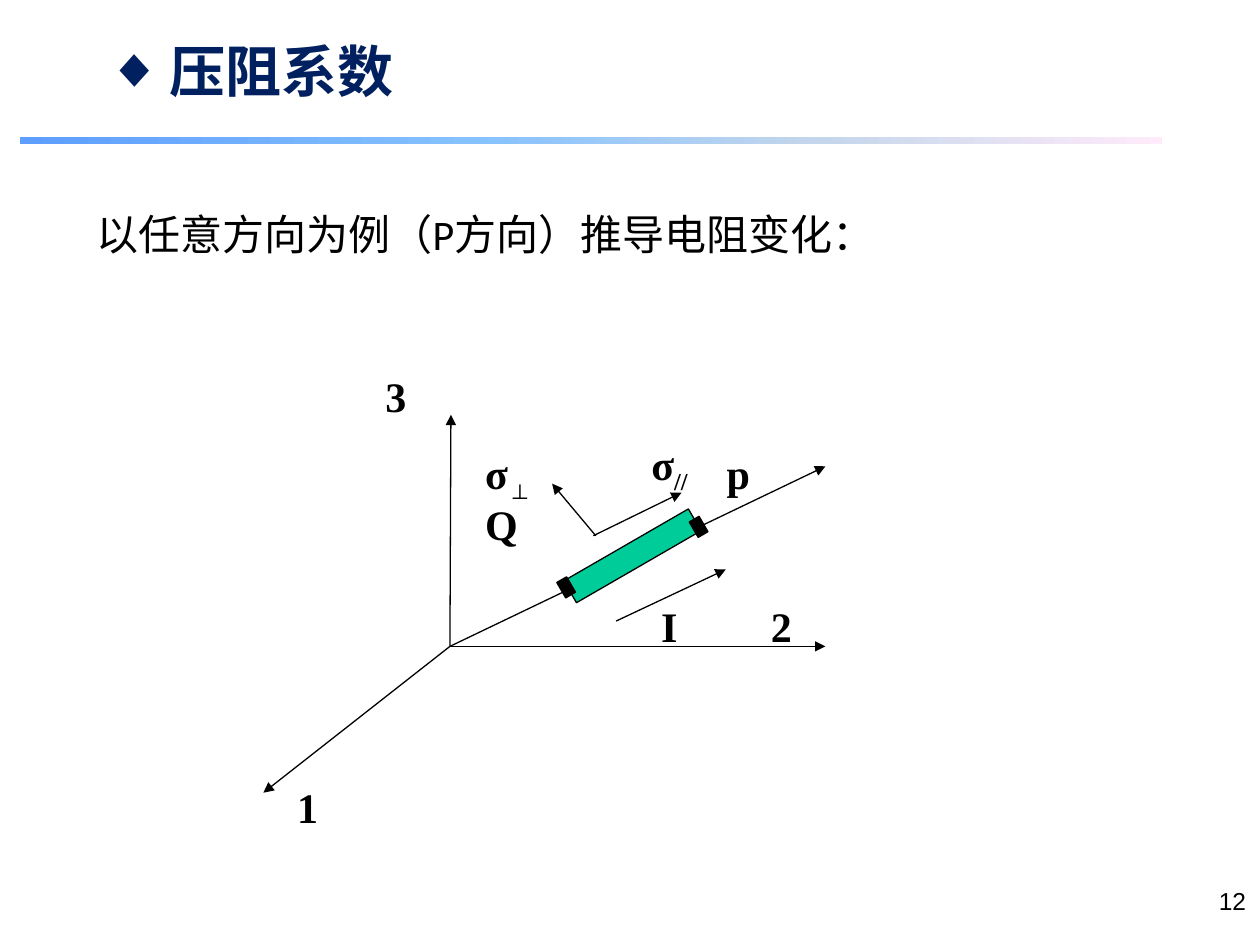
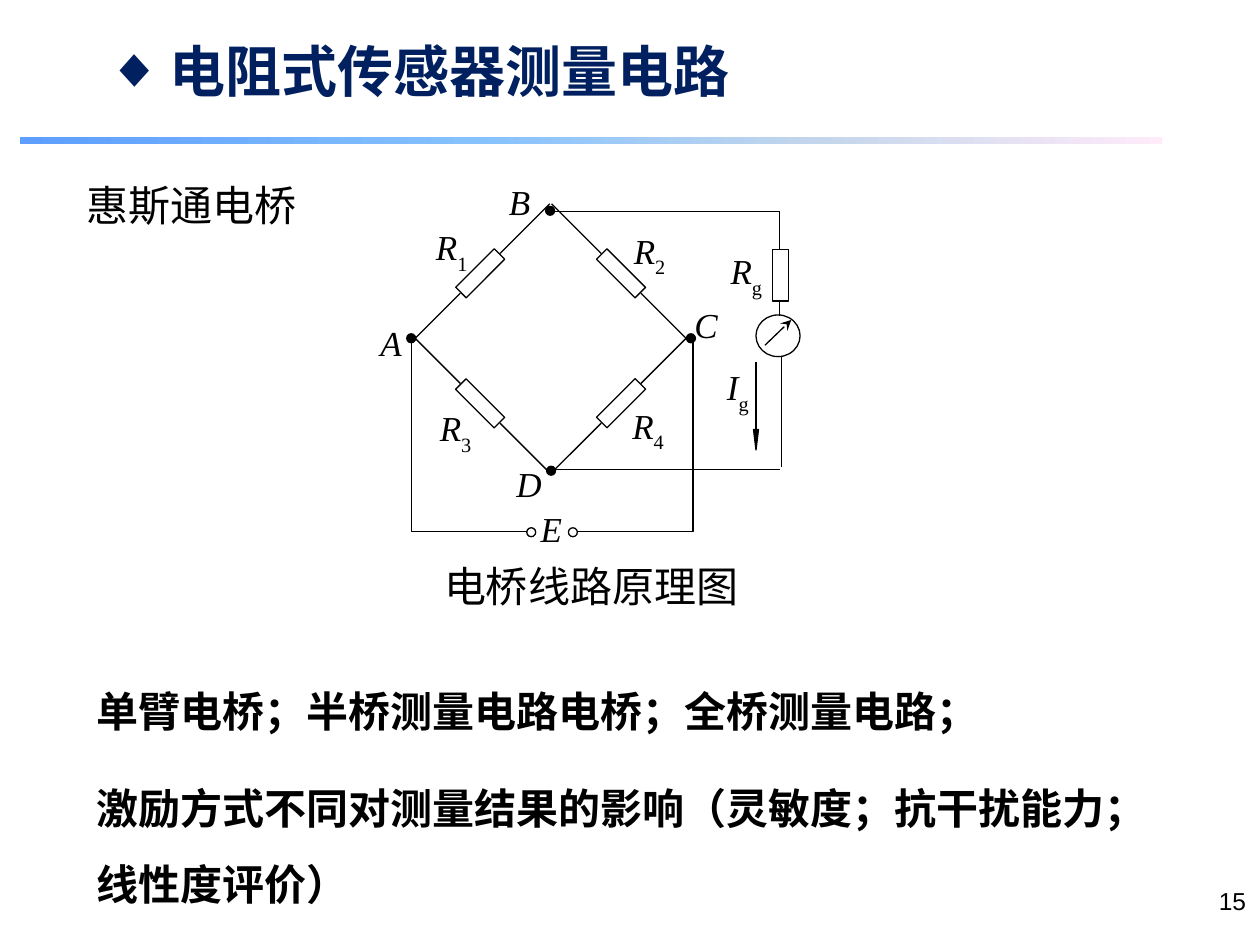
from dataclasses import dataclass

from lxml import etree
from pptx import Presentation
from pptx.dml.color import RGBColor
from pptx.enum.shapes import MSO_CONNECTOR, MSO_SHAPE
from pptx.enum.text import MSO_ANCHOR, PP_ALIGN
from pptx.oxml.ns import qn
from pptx.util import Cm, Pt

RECT = MSO_SHAPE.RECTANGLE
OVAL = MSO_SHAPE.OVAL
WEDGE = MSO_SHAPE.ISOSCELES_TRIANGLE
STRAIGHT = MSO_CONNECTOR.STRAIGHT
LEFT, MID, RIGHT = PP_ALIGN.LEFT, PP_ALIGN.CENTER, PP_ALIGN.RIGHT
TOP, BOTTOM = MSO_ANCHOR.TOP, MSO_ANCHOR.BOTTOM


@dataclass(frozen=True)
class Theme:
    ink: str = "000000"
    paper: str = "FFFFFF"
    navy: str = "002060"
    green: str = "00CC99"
    band: tuple = ((0, "5E9EFF"), (40, "85C2FF"), (70, "C4D6EB"), (100, "FFEBFA"))
    head: int = 32
    body: int = 24
    mark: int = 20
    page: int = 14
    rule: float = 0.75
    sans: str = "Arial"
    plain: str = "Calibri"
    serif: str = "Times New Roman"
    han: str = "Noto Sans CJK SC"


T = Theme()


def paint(fill, color):
    if color is None:
        fill.background()
    else:
        fill.solid()
        fill.fore_color.rgb = RGBColor.from_string(color)


def add_run(para, words, size, font, color, bold, italic, drop=0):
    run = para.add_run()
    run.text = words
    run.font.size = Pt(size)
    run.font.name = font
    run.font.bold = bold
    run.font.italic = italic
    run.font.color.rgb = RGBColor.from_string(color)
    props = run.font._element
    etree.SubElement(props, qn("a:ea")).set("typeface", T.han)
    if drop:
        props.set("baseline", str(-1000 * drop))


def add_bullet(para):
    props = para._p.get_or_add_pPr()
    props.set("marL", str(Cm(1.27)))
    props.set("indent", str(-Cm(1.27)))
    etree.SubElement(props, qn("a:buFont")).set("typeface", T.sans)
    etree.SubElement(props, qn("a:buChar")).set("char", "◆")


def text(slide, box, words, size=T.body, font=T.sans, color=T.ink, bold=False,
         italic=False, align=LEFT, anchor=TOP, sub="", drop=25, inset=True,
         bullet=False, pitch=None, gap=None, fill=None):
    shape = slide.shapes.add_textbox(*map(Cm, box))
    paint(shape.fill, fill)
    frame = shape.text_frame
    frame.word_wrap = True
    frame.vertical_anchor = anchor
    if not inset:
        frame.margin_left = frame.margin_right = 0
        frame.margin_top = frame.margin_bottom = 0
    for row, line in enumerate(words.split("\n")):
        para = frame.add_paragraph() if row else frame.paragraphs[0]
        if bullet:
            add_bullet(para)
        para.alignment = align
        if pitch:
            para.line_spacing = Pt(pitch)
        if row and gap:
            para.space_before = Pt(gap)
        add_run(para, line, size, font, color, bold, italic)
        if sub:
            add_run(para, sub, size, font, color, bold, False, drop)


def block(slide, kind, box, fill=None, turn=0, edge=T.ink):
    shape = slide.shapes.add_shape(kind, *map(Cm, box))
    shape.shadow.inherit = False
    shape.rotation = turn
    paint(shape.fill, fill)
    paint(shape.line.fill, edge)
    if edge:
        shape.line.width = Pt(T.rule)
    return shape


def dot(slide, x, y, fill=T.ink, size=0.18):
    block(slide, OVAL, (x - size / 2, y - size / 2, size, size), fill)


def wire(slide, start, end, tip=None):
    line = slide.shapes.add_connector(STRAIGHT, *map(Cm, (*start, *end)))
    line.line.color.rgb = RGBColor.from_string(T.ink)
    line.line.width = Pt(T.rule)
    if tip:
        etree.SubElement(line.line._get_or_add_ln(), qn("a:tailEnd")).set("type", tip)
    etree.SubElement(line._element.spPr, qn("a:effectLst"))


def bend(slide, *points):
    spots = [(Cm(x), Cm(y)) for x, y in points]
    pen = slide.shapes.build_freeform(*spots[0])
    pen.add_line_segments(spots[1:], close=False)
    shape = pen.convert_to_shape()
    shape.shadow.inherit = False
    paint(shape.fill, None)
    paint(shape.line.fill, T.ink)
    shape.line.width = Pt(T.rule)


def band(slide):
    shape = block(slide, RECT, (0.4, 2.77, 23.02, 0.13), edge=None)
    shape.fill.gradient()
    shape.fill.gradient_angle = 0
    stops = shape._element.spPr.find(qn("a:gradFill")).find(qn("a:gsLst"))
    for stop in list(stops):
        stops.remove(stop)
    for place, color in T.band:
        stop = etree.SubElement(stops, qn("a:gs"))
        stop.set("pos", str(place * 1000))
        etree.SubElement(stop, qn("a:srgbClr")).set("val", color)


def page(deck, title, number):
    slide = deck.slides.add_slide(deck.slide_layouts[6])
    band(slide)
    text(slide, (20.09, 17.73, 5.28, 1.27), number, size=T.page, align=RIGHT)
    text(slide, (1.9, 0.62, 16, 1.6), title, size=T.head, font=T.han,
         color=T.navy, bold=True, bullet=True)
    return slide


def arm(slide, x, y, slope):
    near, far = 0.4, 1.4
    for side in (-1, 1):
        ends = [(x + side * k, y + side * slope * k) for k in (near, far)]
        wire(slide, *ends)
    block(slide, RECT, (x - 0.15, y - 0.55, 0.3, 1.1), T.paper, -45 * slope)


def axes(slide):
    root = (9.07, 13.03)
    for end in ((16.64, 13.03), (9.09, 8.36), (5.31, 15.98), (16.64, 9.4)):
        wire(slide, root, end, "triangle")
    block(slide, RECT, (11.3, 10.95, 2.9, 0.51), T.green, 330)
    for x, y in ((13.97, 10.44), (11.3, 11.66)):
        block(slide, RECT, (x, y, 0.23, 0.36), T.ink, 330)
    for start, end in (((12.42, 12.52), (14.63, 11.48)),
                       ((11.96, 10.8), (13.74, 9.93)),
                       ((12.01, 10.8), (11.13, 9.75))):
        wire(slide, start, end, "triangle")
    for x, y, name, sub in ((12.88, 8.71, "σ", "//"), (9.53, 8.89, "σ", "⊥"),
                            (14.4, 8.89, "p", ""), (9.53, 9.93, "Q", ""),
                            (5.74, 15.62, "1", ""), (15.29, 11.99, "2", ""),
                            (7.52, 7.34, "3", ""), (13.08, 11.99, "I", "")):
        text(slide, (x, y, 2.21, 0.89), name, font=T.serif, bold=True, sub=sub)


def bridge(slide):
    for x, y, slope in ((9.68, 5.51, -1), (12.52, 5.51, 1),
                        (9.68, 8.13, 1), (12.52, 8.13, -1)):
        arm(slide, x, y, slope)
    for x, y in ((8.29, 6.82), (13.93, 6.82), (11.09, 4.25), (11.11, 9.49)):
        dot(slide, x, y)
    bend(slide, (8.3, 6.83), (8.3, 10.72), (10.62, 10.72))
    bend(slide, (13.97, 6.83), (13.97, 10.72), (11.64, 10.72))
    for x in (10.71, 11.55):
        dot(slide, x, 10.73, T.paper)


def meter(slide):
    for start, end in (((11.13, 4.27), (15.72, 4.27)),
                       ((11.18, 9.47), (15.72, 9.47)),
                       ((15.72, 4.27), (15.72, 5.02)),
                       ((15.72, 6.05), (15.72, 6.37)),
                       ((15.75, 7.19), (15.75, 9.42)),
                       ((15.24, 7.29), (15.24, 8.64))):
        wire(slide, start, end)
    block(slide, RECT, (15.57, 5.03, 0.33, 1.04), T.paper)
    block(slide, OVAL, (15.24, 6.35, 0.89, 0.84))
    wire(slide, (15.42, 6.96), (15.95, 6.45), "stealth")
    block(slide, WEDGE, (15.19, 8.66, 0.1, 0.41), T.ink, 180)


def names(slide):
    style = dict(size=T.mark, font=T.serif, italic=True, inset=False)
    for x, y, name, sub in ((8.23, 4.55, "R", "1"), (12.22, 4.62, "R", "2"),
                            (8.31, 8.2, "R", "3"), (12.19, 8.15, "R", "4"),
                            (14.17, 5.03, "R", "g"), (14, 7.37, "I", "g"),
                            (10.24, 10.24, "E", "")):
        text(slide, (x, y, 1.75, 0.84), name, sub=sub, drop=30, align=MID, **style)
    for x, y, name in ((7.67, 6.48, "A"), (10.26, 3.63, "B"),
                       (14, 6.12, "C"), (10.41, 9.32, "D")):
        text(slide, (x, y, 1.12, 0.84), name, **style)


def main():
    deck = Presentation()
    deck.slide_width, deck.slide_height = Cm(25.4), Cm(19.05)

    slide = page(deck, "压阻系数", "12")
    text(slide, (1.7, 3.33, 20.8, 2.01), "以任意方向为例（P方向）推导电阻变化：",
         font=T.plain, anchor=BOTTOM)
    axes(slide)

    slide = page(deck, "电阻式传感器测量电路", "15")
    bridge(slide)
    meter(slide)
    names(slide)
    text(slide, (7.09, 11.3, 9.65, 1.09), "电桥线路原理图", font=T.serif,
         align=MID, inset=False)
    text(slide, (1.5, 3.5, 5.59, 1.3), "惠斯通电桥", fill=T.paper)
    text(slide, (1.7, 13.18, 22.1, 5.38),
         "单臂电桥；半桥测量电路电桥；全桥测量电路；\n"
         "激励方式不同对测量结果的影响（灵敏度；抗干扰能力；线性度评价）",
         bold=True, pitch=43.5, gap=11.5, fill=T.paper)
    deck.save("out.pptx")


if __name__ == "__main__":
    main()
